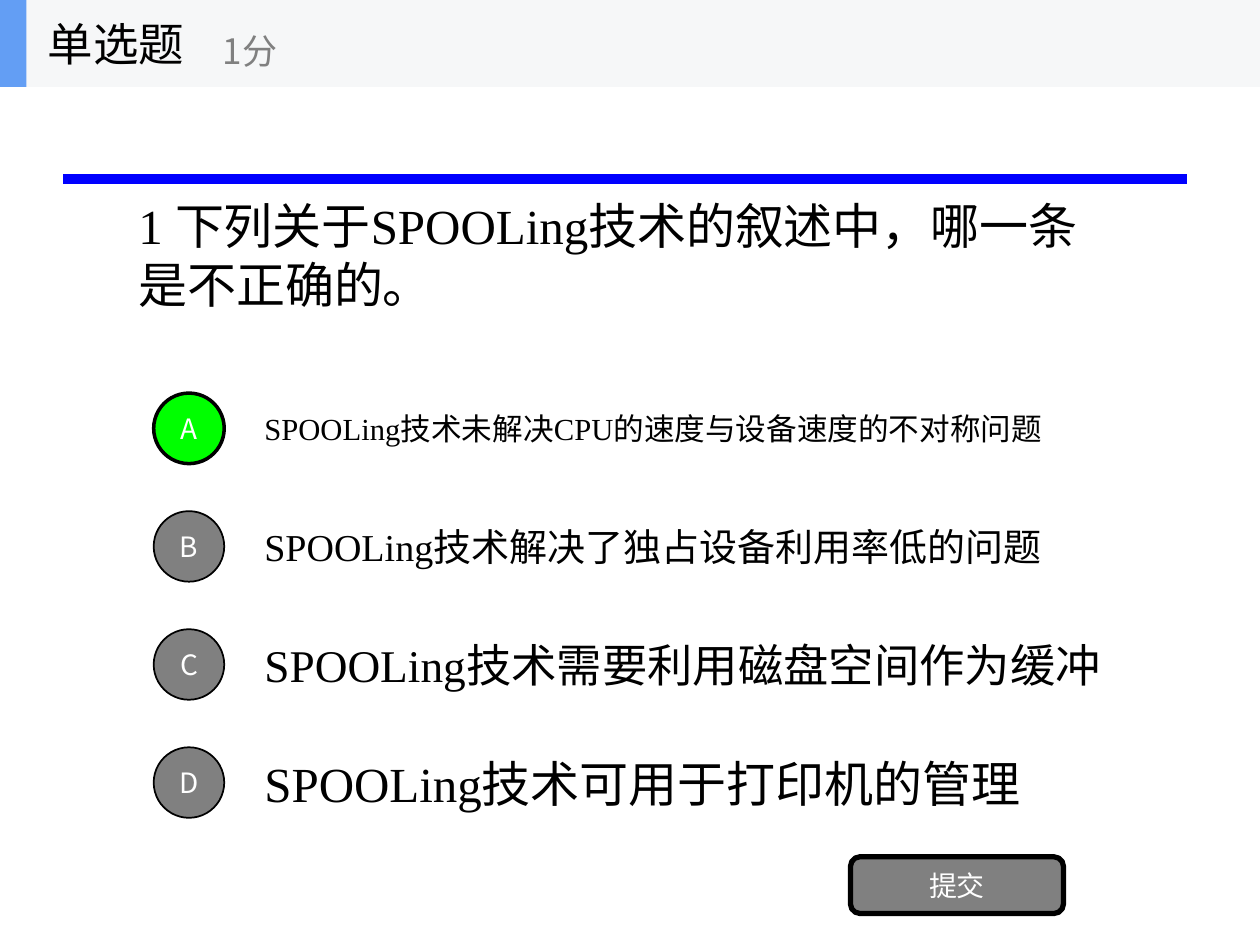
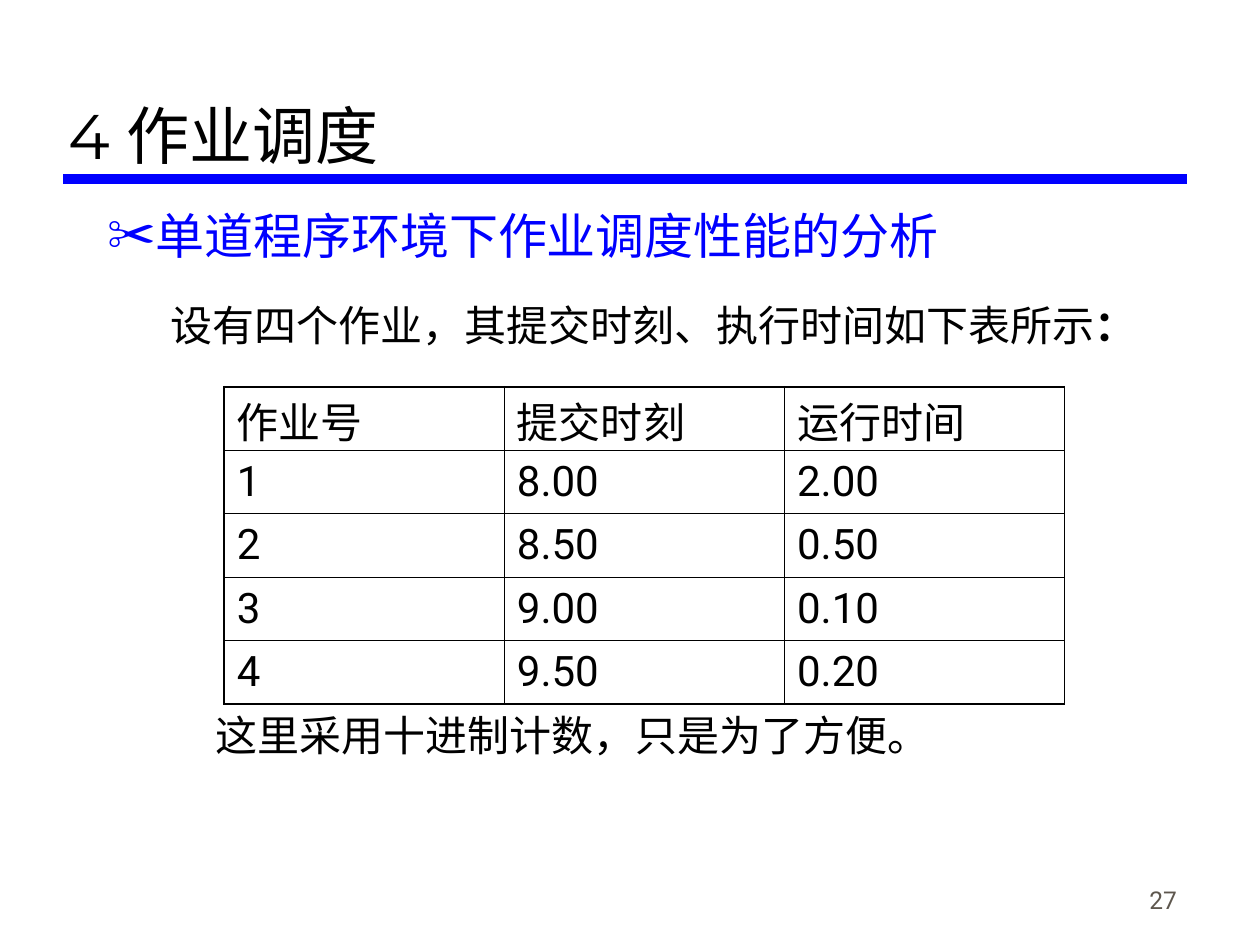
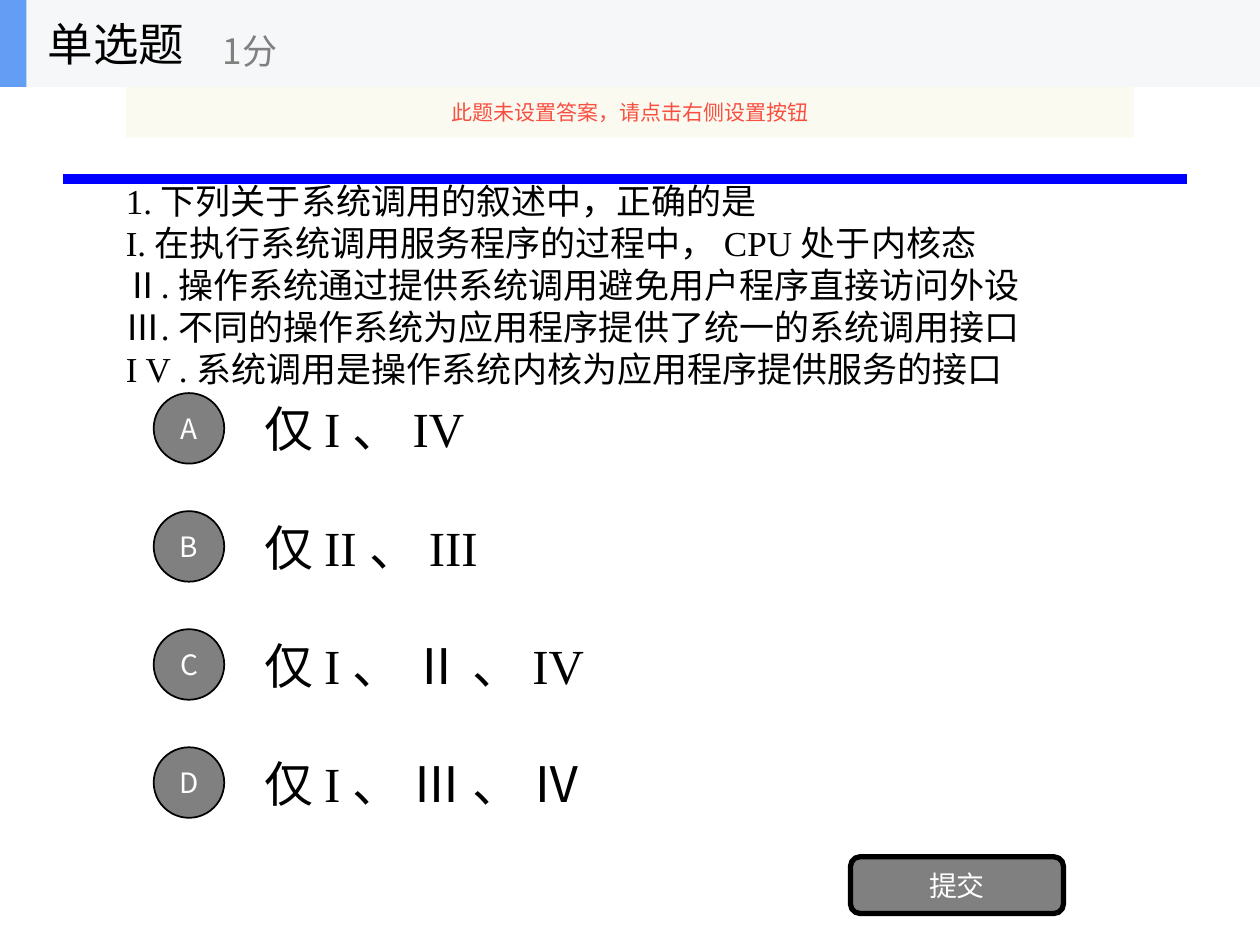
from lxml.etree import SubElement
from pptx import Presentation
from pptx.dml.color import RGBColor
from pptx.enum.shapes import MSO_CONNECTOR, MSO_SHAPE
from pptx.enum.text import MSO_ANCHOR, MSO_AUTO_SIZE, PP_ALIGN
from pptx.oxml.ns import qn
from pptx.util import Inches, Pt

BLACK = RGBColor(0x00, 0x00, 0x00)
WHITE = RGBColor(0xFF, 0xFF, 0xFF)
GRAY = RGBColor(0x80, 0x80, 0x80)
BLUE = RGBColor(0x00, 0x00, 0xFF)
GREEN = RGBColor(0x00, 0xFF, 0x00)
BAND = RGBColor(0xF6, 0xF7, 0xF8)
ACCENT = RGBColor(0x63, 0x9E, 0xF4)
NOTICE_FILL = RGBColor(0xFB, 0xFA, 0xEF)
NOTICE_TEXT = RGBColor(0xF8, 0x4F, 0x41)
PAGE_NUMBER = RGBColor(0x5E, 0x57, 0x4E)

SERIF = "Times New Roman"
SANS = "Noto Sans CJK SC"
ROBOTO = "Roboto"
HEADING = "Montserrat"

OPTION_TOP = 3.05
OPTION_STEP = 0.937
JOBS = [
    ["作业号", "提交时刻", "运行时间"],
    ["1", "8.00", "2.00"],
    ["2", "8.50", "0.50"],
    ["3", "9.00", "0.10"],
    ["4", "9.50", "0.20"],
]


def place(shape, left, top, width, height):
    """Move a shape to a position and size in inches."""
    shape.left, shape.top = Inches(left), Inches(top)
    shape.width, shape.height = Inches(width), Inches(height)


def style(para, size, name, color, align=PP_ALIGN.LEFT):
    """Set the font and alignment of a paragraph."""
    para.alignment = align
    para.font.size = Pt(size)
    para.font.name = name
    para.font.color.rgb = color


def write(shape, text, size, name, color, align=PP_ALIGN.LEFT, anchor=MSO_ANCHOR.MIDDLE):
    """Fill a shape with wrapped text in one style."""
    frame = shape.text_frame
    frame.text = text
    frame.word_wrap = True
    frame.auto_size = MSO_AUTO_SIZE.NONE
    frame.vertical_anchor = anchor
    for para in frame.paragraphs:
        style(para, size, name, color, align)


def add_text(page, area, text, size, name=SERIF, color=BLACK, **layout):
    """Add a text box."""
    box = page.shapes.add_textbox(*map(Inches, area))
    write(box, text, size, name, color, **layout)


def add_block(page, kind, area, fill, line_width=0):
    """Add a filled preset shape, outlined in black if a line width is given."""
    block = page.shapes.add_shape(kind, *map(Inches, area))
    block.shadow.inherit = False
    block.fill.solid()
    block.fill.fore_color.rgb = fill
    if line_width:
        block.line.color.rgb = BLACK
        block.line.width = Pt(line_width)
    else:
        block.line.fill.background()
    return block


def add_master_rule(deck, page):
    """Draw the blue rule and move it to the slide master."""
    rule = page.shapes.add_connector(
        MSO_CONNECTOR.STRAIGHT, Inches(0.5), Inches(1.42), Inches(9.42), Inches(1.42)
    )
    rule.line.color.rgb = BLUE
    rule.line.width = Pt(6)
    SubElement(rule.element.spPr, qn("a:effectLst"))
    deck.slide_master.element.cSld.spTree.append(rule.element)


def add_header(page):
    """Add the header band with the question type and its points."""
    title = page.shapes.title
    for width, fill in ((10, BAND), (0.21, ACCENT)):
        block = add_block(page, MSO_SHAPE.RECTANGLE, (0, 0, width, 0.69), fill)
        title.element.addprevious(block.element)
    place(title, 0.28, 0, 2.08, 0.69)
    write(title, "单选题", 26, SANS, BLACK)
    add_text(page, (1.67, 0.12, 2.5, 0.56), "1分", 20, SANS, GRAY)


def add_option(page, index, text, size, chosen):
    """Add one lettered answer."""
    top = OPTION_TOP + index * OPTION_STEP
    add_text(page, (2, top, 7, 0.7), text, size)
    circle = add_block(
        page, MSO_SHAPE.OVAL, (1.22, top + 0.07, 0.56, 0.56),
        GREEN if chosen else GRAY, 2 if chosen else 1,
    )
    write(circle, "ABCD"[index], 16, SANS, WHITE, PP_ALIGN.CENTER)


def add_question(deck, area, question, size, options, answer=None):
    """Add a single-choice question page."""
    page = deck.slides.add_slide(deck.slide_layouts[5])
    add_header(page)
    add_text(page, area, question, size)
    for index, (text, option_size) in enumerate(options):
        add_option(page, index, text, option_size, index == answer)
    button = add_block(page, MSO_SHAPE.ROUNDED_RECTANGLE, (6.75, 6.8, 1.69, 0.45), GRAY, 3)
    write(button, "提交", 16, SANS, WHITE, PP_ALIGN.CENTER)
    return page


def add_notice(page, text):
    """Add the translucent notice strip under the header."""
    strip = add_block(page, MSO_SHAPE.RECTANGLE, (1, 0.69, 8, 0.4), NOTICE_FILL)
    color = strip.fill._xPr.find(qn("a:solidFill"))[0]
    SubElement(color, qn("a:alpha"), val="90000")
    write(strip, text, 12, SANS, NOTICE_TEXT, PP_ALIGN.CENTER)


def set_bullet(para, margin, indent, character=None):
    """Set the indents of a paragraph and its blue bullet, if any."""
    properties = para._p.get_or_add_pPr()
    properties.set("marL", str(Inches(margin)))
    properties.set("indent", str(Inches(indent)))
    if character:
        color = SubElement(properties, qn("a:buClr"))
        SubElement(color, qn("a:srgbClr"), val=str(BLUE))
        SubElement(properties, qn("a:buChar"), char=character)
    else:
        SubElement(properties, qn("a:buNone"))


def add_body(page, heading, intro):
    """Fill the body placeholder with a bulleted heading and an introduction."""
    body = page.placeholders[1]
    place(body, 0.75, 1.58, 8.5, 1.42)
    frame = body.text_frame
    frame.auto_size = MSO_AUTO_SIZE.NONE
    first, second = frame.paragraphs[0], frame.add_paragraph()
    first.text = heading
    set_bullet(first, 0.38, -0.38, "✂")
    first.space_before = Pt(0)
    style(first, 28, SERIF, BLUE)
    second.text = intro
    second.level = 1
    set_bullet(second, 0.81, -0.31)
    second.line_spacing = 0.8
    second.space_before = Pt(26)
    style(second, 24, SERIF, BLACK)
    colon = second.add_run()
    colon.text = "："
    colon.font.bold = True


def set_borders(cell, widths):
    """Draw black cell borders with a width for each side."""
    properties = cell._tc.get_or_add_tcPr()
    for index, (side, width) in enumerate(widths.items()):
        line = properties.makeelement(qn(f"a:ln{side}"), w=str(Pt(width)))
        fill = SubElement(line, qn("a:solidFill"))
        SubElement(fill, qn("a:srgbClr"), val=str(BLACK))
        properties.insert(index, line)


def add_jobs_table(page):
    """Add the table of jobs with a heavier outer border."""
    rows, columns = len(JOBS), len(JOBS[0])
    area = map(Inches, (1.78, 3.07, 6.67, 2.52))
    table = page.shapes.add_table(rows, columns, *area).table
    table.first_row = table.horz_banding = False
    for r, values in enumerate(JOBS):
        for c, value in enumerate(values):
            cell = table.cell(r, c)
            cell.fill.background()
            cell.vertical_anchor = MSO_ANCHOR.MIDDLE
            cell.text = value
            style(cell.text_frame.paragraphs[0], 24, ROBOTO, BLACK)
            outer = {"L": c == 0, "R": c == columns - 1, "T": r == 0, "B": r == rows - 1}
            set_borders(cell, {side: 1.08 if edge else 0.45 for side, edge in outer.items()})
    for cell in table.rows[0].cells:
        cell.margin_top, cell.margin_bottom = Inches(0.02), Inches(0)


def add_scheduling(deck):
    """Add the job scheduling page."""
    page = deck.slides.add_slide(deck.slide_layouts[1])
    place(page.shapes.title, 0.44, 0.17, 8.97, 1.25)
    write(page.shapes.title, "4 作业调度", 36, HEADING, BLACK, anchor=MSO_ANCHOR.BOTTOM)
    add_body(page, "单道程序环境下作业调度性能的分析", "设有四个作业，其提交时刻、执行时间如下表所示")
    add_text(page, (1.61, 5.58, 5.9, 0.5), "这里采用十进制计数，只是为了方便。", 24)
    add_jobs_table(page)
    add_text(
        page, (7.36, 6.81, 2.08, 0.5), "27", 14, ROBOTO, PAGE_NUMBER,
        align=PP_ALIGN.RIGHT, anchor=MSO_ANCHOR.BOTTOM,
    )


def main():
    """Build the deck and save it."""
    deck = Presentation()
    deck.slide_width, deck.slide_height = Inches(10), Inches(7.5)
    spooling = add_question(
        deck, (1, 0.85, 8, 2.34), "1 下列关于SPOOLing技术的叙述中，哪一条是不正确的。", 28,
        [
            ("SPOOLing技术未解决CPU的速度与设备速度的不对称问题", 17.5),
            ("SPOOLing技术解决了独占设备利用率低的问题", 21.7),
            ("SPOOLing技术需要利用磁盘空间作为缓冲", 25.9),
            ("SPOOLing技术可用于打印机的管理", 28),
        ],
        answer=0,
    )
    add_master_rule(deck, spooling)
    add_scheduling(deck)
    statements = [
        "1. 下列关于系统调用的叙述中，正确的是",
        "I. 在执行系统调用服务程序的过程中， CPU 处于内核态",
        "Ⅱ. 操作系统通过提供系统调用避免用户程序直接访问外设",
        "Ⅲ. 不同的操作系统为应用程序提供了统一的系统调用接口",
        "I V . 系统调用是操作系统内核为应用程序提供服务的接口",
    ]
    choices = ["仅 I 、 IV", "仅 II 、 III", "仅 I 、 Ⅱ 、 IV", "仅 I 、 Ⅲ 、 Ⅳ"]
    system_calls = add_question(
        deck, (0.9, 1.09, 8, 2.34), "\v".join(statements), 20,
        [(choice, 28) for choice in choices],
    )
    add_notice(system_calls, "此题未设置答案，请点击右侧设置按钮")
    deck.save("out.pptx")


if __name__ == "__main__":
    main()
